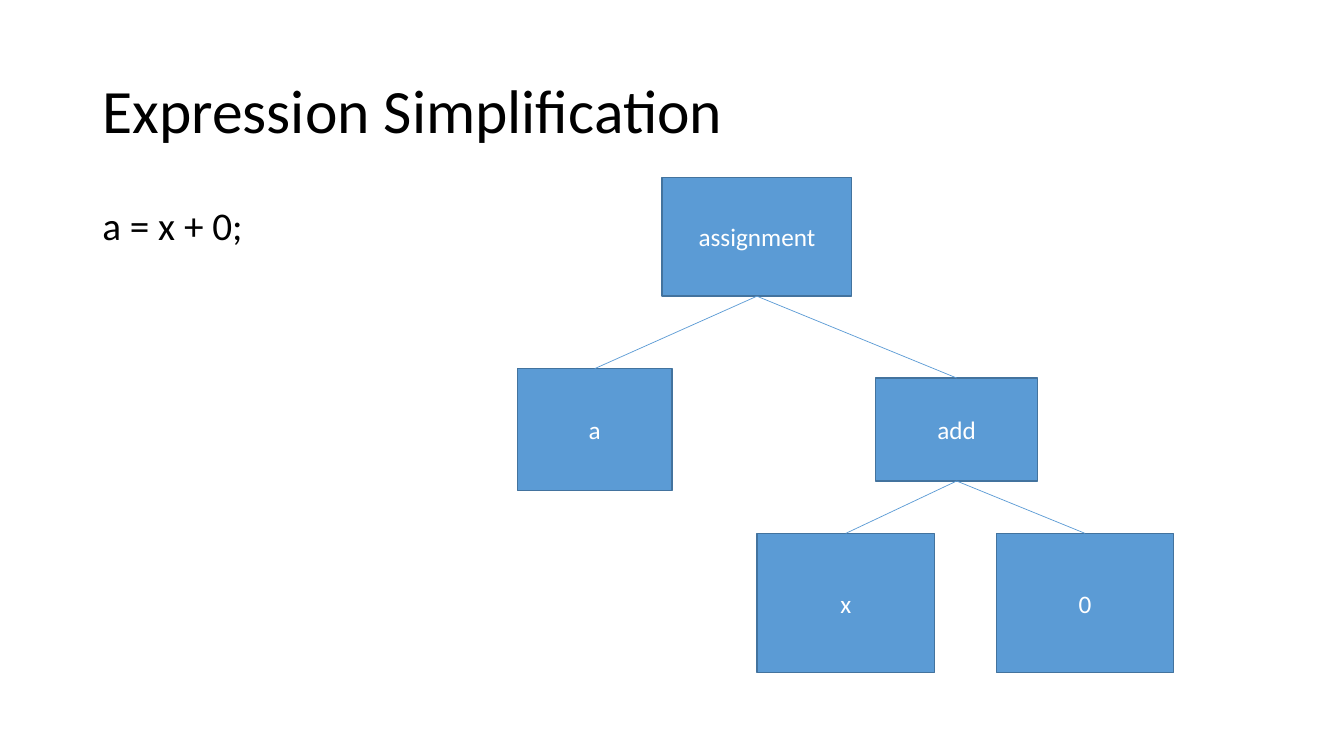
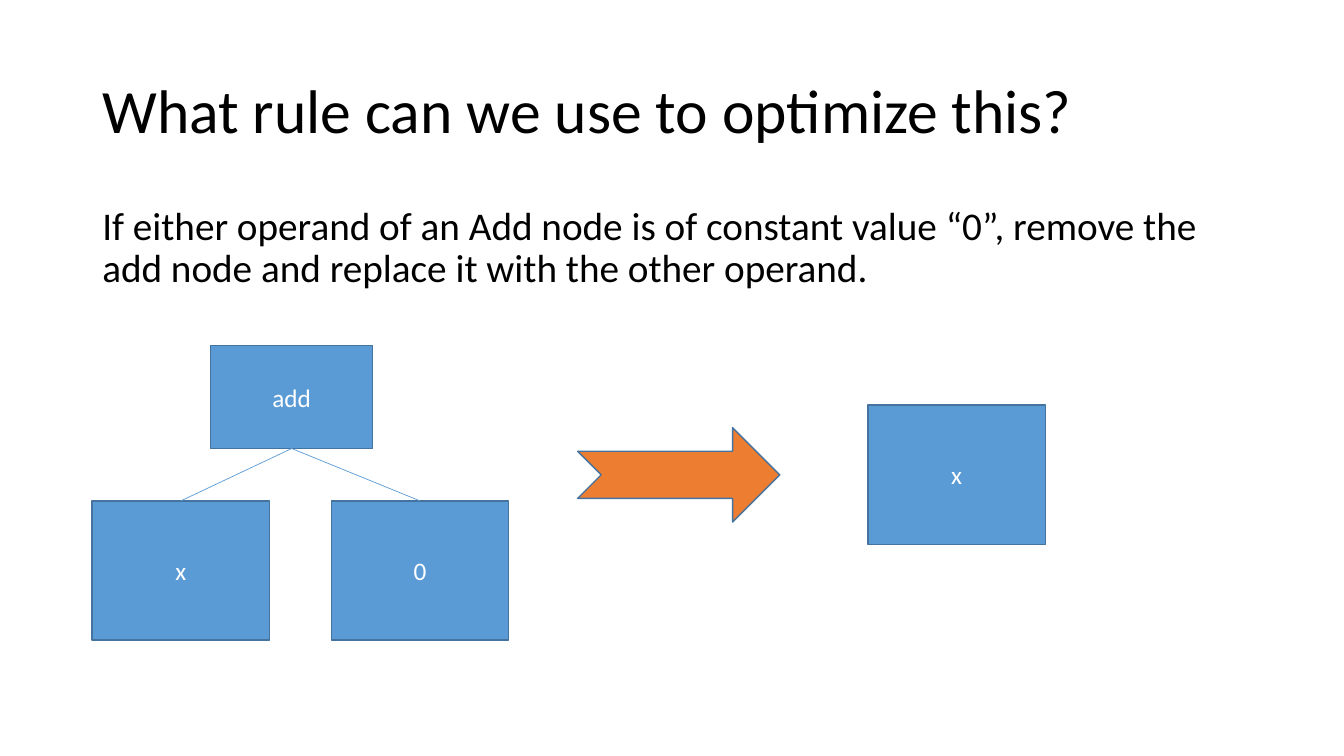
from dataclasses import dataclass

import pptx
import pptx.dml.color
import pptx.enum.shapes
import pptx.enum.text
import pptx.oxml.ns
import pptx.presentation
import pptx.shapes.autoshape
import pptx.slide
import pptx.text.text
import pptx.util
from lxml import etree

Pt = pptx.util.Pt
RGBColor = pptx.dml.color.RGBColor
Align = pptx.enum.text.PP_ALIGN
Anchor = pptx.enum.text.MSO_ANCHOR
ShapeKind = pptx.enum.shapes.MSO_SHAPE
Shape = pptx.shapes.autoshape.Shape
Slide = pptx.slide.Slide

BLACK = RGBColor(0x00, 0x00, 0x00)
WHITE = RGBColor(0xFF, 0xFF, 0xFF)
BLUE = RGBColor(0x5B, 0x9B, 0xD5)
DARK_BLUE = RGBColor(0x43, 0x73, 0x9E)
ORANGE = RGBColor(0xED, 0x7D, 0x31)
FONT = "Calibri"
TITLE_ONLY = 5
BOTTOM, TOP = 2, 0


@dataclass(frozen=True)
class Box:
    """Position and size in points."""

    left: float
    top: float
    width: float
    height: float

    def lengths(self) -> tuple[int, int, int, int]:
        return Pt(self.left), Pt(self.top), Pt(self.width), Pt(self.height)


TITLE = Box(66, 28.8, 828, 104.4)


def write(frame: pptx.text.text.TextFrame, text: str, *, size: float,
          color: RGBColor = BLACK, align: Align = Align.LEFT,
          anchor: Anchor = Anchor.TOP, line_spacing: float = 1,
          space_before: float = 0) -> None:
    frame.word_wrap = True
    frame.auto_size = pptx.enum.text.MSO_AUTO_SIZE.NONE
    frame.vertical_anchor = anchor
    paragraph = frame.paragraphs[0]
    paragraph.alignment = align
    paragraph.line_spacing = line_spacing
    paragraph.space_before = Pt(space_before)
    run = paragraph.add_run()
    run.text = text
    run.font.name = FONT
    run.font.size = Pt(size)
    run.font.color.rgb = color


def add_titled_slide(deck: pptx.presentation.Presentation, heading: str,
                     body: str, body_box: Box) -> Slide:
    slide = deck.slides.add_slide(deck.slide_layouts[TITLE_ONLY])
    title = slide.shapes.title
    title.left, title.top, title.width, title.height = TITLE.lengths()
    write(title.text_frame, heading, size=44, anchor=Anchor.MIDDLE,
          line_spacing=0.9)
    statement = slide.shapes.add_textbox(*body_box.lengths())
    write(statement.text_frame, body, size=28, line_spacing=0.9,
          space_before=10)
    return slide


def add_figure(slide: Slide, kind: ShapeKind, box: Box,
               fill: RGBColor) -> Shape:
    figure = slide.shapes.add_shape(kind, *box.lengths())
    figure.shadow.inherit = False
    figure.fill.solid()
    figure.fill.fore_color.rgb = fill
    figure.line.color.rgb = DARK_BLUE
    figure.line.width = Pt(1)
    return figure


def add_node(slide: Slide, label: str, box: Box) -> Shape:
    node = add_figure(slide, ShapeKind.RECTANGLE, box, BLUE)
    write(node.text_frame, label, size=18, color=WHITE, align=Align.CENTER,
          anchor=Anchor.MIDDLE)
    return node


def link(slide: Slide, parent: Shape, child: Shape) -> None:
    edge = slide.shapes.add_connector(
        pptx.enum.shapes.MSO_CONNECTOR.STRAIGHT, 0, 0, 0, 0)
    edge.begin_connect(parent, BOTTOM)
    edge.end_connect(child, TOP)
    edge.line.color.rgb = BLUE
    edge.line.width = Pt(0.5)
    etree.SubElement(edge._element.spPr, pptx.oxml.ns.qn("a:effectLst"))


def operand_box(left: float, top: float) -> Box:
    return Box(left, top, 126.7, 99.4)


def add_sum_tree(slide: Slide, left: float, top: float) -> Shape:
    """Draw the add node at the given corner, with its operands x and 0."""
    add = add_node(slide, "add", Box(left, top, 115.7, 73.6))
    for label, shift in (("x", -84.7), ("0", 86.2)):
        operand = add_node(slide, label, operand_box(left + shift, top + 111))
        link(slide, add, operand)
    return add


def build_expression(deck: pptx.presentation.Presentation) -> None:
    slide = add_titled_slide(deck, "Expression Simplification", "a = x + 0;",
                             Box(66, 144, 129.6, 342.7))
    # Syntax tree
    assignment = add_node(slide, "assignment", Box(473, 126.8, 135.4, 84.8))
    target = add_node(slide, "a", Box(369.6, 263.3, 110.5, 87.1))
    add = add_sum_tree(slide, 625.5, 270)
    for child in (target, add):
        link(slide, assignment, child)


def build_rule(deck: pptx.presentation.Presentation) -> None:
    slide = add_titled_slide(
        deck, "What rule can we use to optimize this?",
        "If either operand of an Add node is of constant value “0”, remove "
        "the add node and replace it with the other operand.",
        Box(66, 144, 828, 85))
    # Tree before and node after the rewrite
    add_sum_tree(slide, 150.5, 246.8)
    add_node(slide, "x", operand_box(620, 289.4))
    add_figure(slide, ShapeKind.NOTCHED_RIGHT_ARROW,
               Box(412.6, 305.5, 144.4, 67.4), ORANGE)


def main() -> None:
    deck = pptx.Presentation()
    deck.slide_width, deck.slide_height = Pt(960), Pt(540)
    build_expression(deck)
    build_rule(deck)
    deck.save("out.pptx")


if __name__ == "__main__":
    main()
